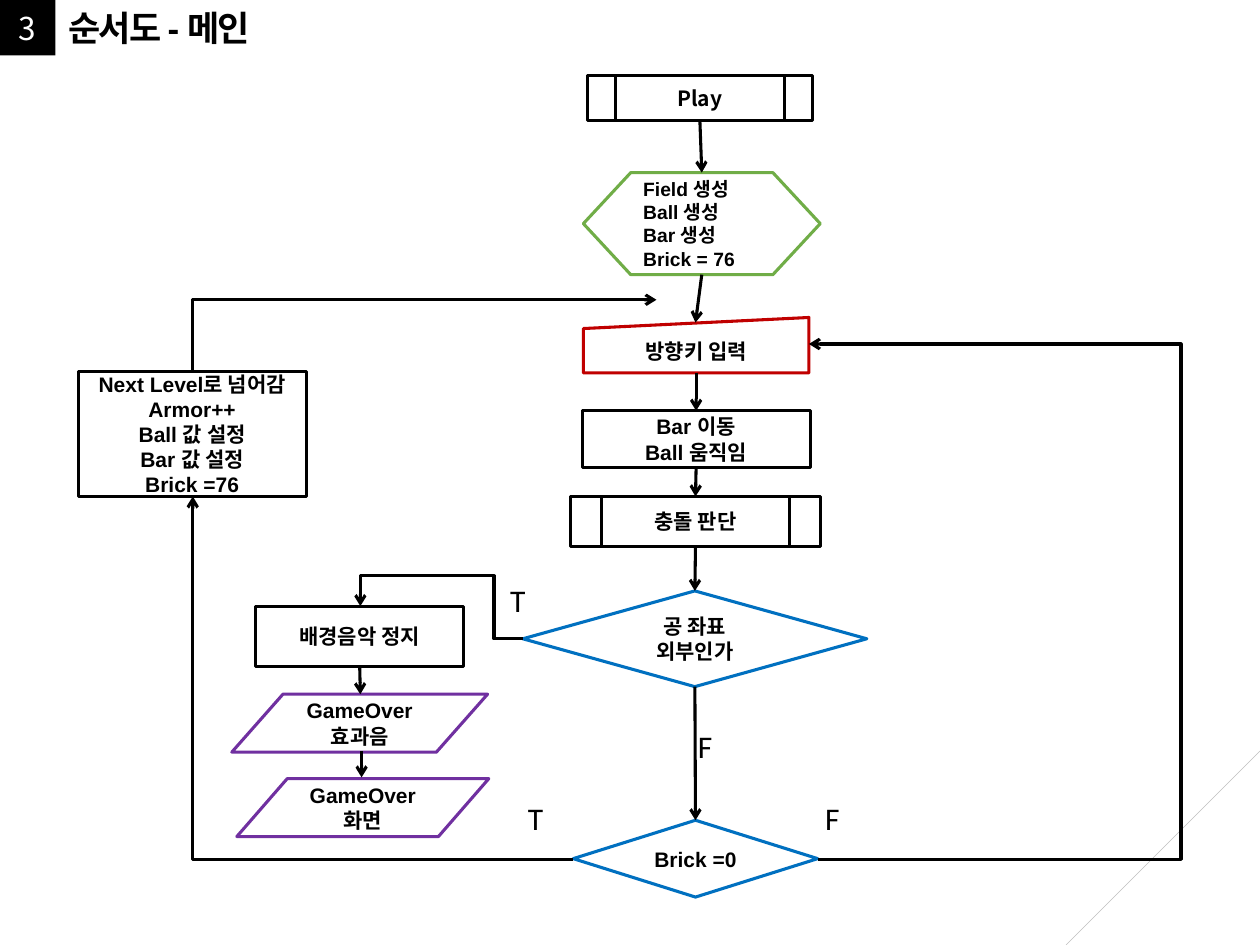
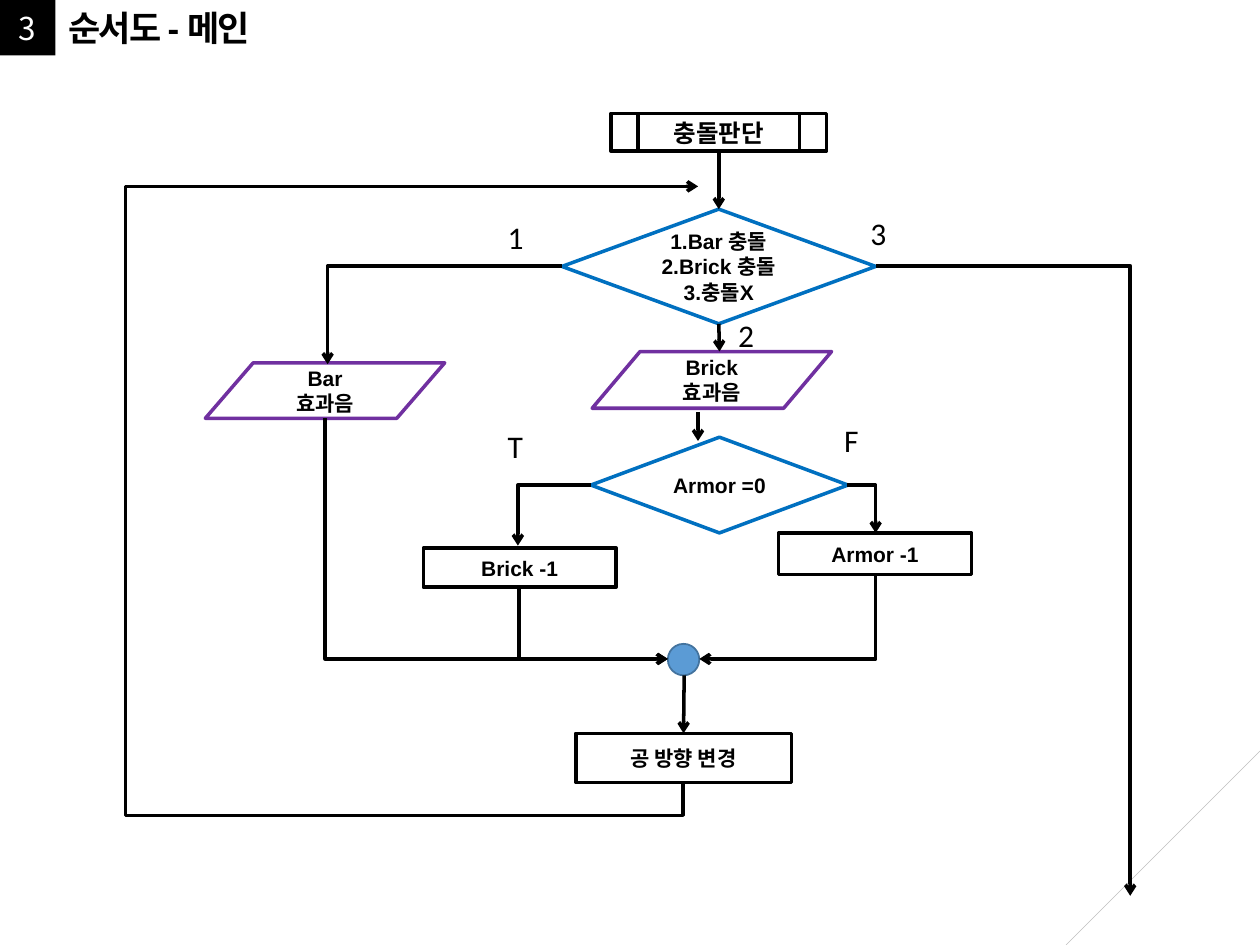
from lxml import etree
from pptx import Presentation
from pptx import util as u
from pptx.dml.color import RGBColor
from pptx.enum import shapes, text
from pptx.oxml.ns import qn

BLACK, WHITE, BLUE = "000000", "FFFFFF", "0070C0"
GREEN, RED, PURPLE, GREY = "70AD47", "C00000", "7030A0", "BFBFBF"
KOREAN = "Noto Sans CJK KR"
WIDTH, HEIGHT, BAND = 10, 7.5, 0.44
SECTION, TITLE = "3", "순서도 - 메인"

M = shapes.MSO_SHAPE
KINDS = {
    "call": (M.FLOWCHART_PREDEFINED_PROCESS, BLACK),
    "step": (M.FLOWCHART_PROCESS, BLACK),
    "test": (M.FLOWCHART_DECISION, BLUE),
    "setup": (M.FLOWCHART_PREPARATION, GREEN),
    "input": (M.FLOWCHART_MANUAL_INPUT, RED),
    "output": (M.FLOWCHART_DATA, PURPLE),
    "join": (M.FLOWCHART_CONNECTOR, "43739E"),
}

MAIN = {
    "weight": 1.75,
    "nodes": [
        ("play", "call", (4.66, 0.6, 1.79, 0.36), ["Play"], {"font": KOREAN}),
        ("init", "setup", (4.63, 1.37, 1.88, 0.81),
         ["Field 생성", "Ball 생성", "Bar 생성", "Brick = 76"], {"size": 11, "align": "LEFT"}),
        ("keys", "input", (4.63, 2.52, 1.79, 0.44), ["방향키 입력"], {}),
        ("move", "step", (4.62, 3.26, 1.81, 0.45), ["Bar 이동", "Ball 움직임"], {}),
        ("collide", "call", (4.53, 3.94, 1.98, 0.4), ["충돌 판단"], {}),
        ("outside", "test", (4.15, 4.69, 2.73, 0.76), ["공 좌표", "외부인가"], {}),
        ("cleared", "test", (4.55, 6.51, 1.94, 0.61), ["Brick =0"], {}),
        ("level", "step", (0.62, 2.95, 1.81, 0.99),
         ["Next Level로 넘어감", "Armor++", "Ball 값 설정", "Bar 값 설정", "Brick =76"], {}),
        ("mute", "step", (2.03, 4.81, 1.65, 0.48), ["배경음악 정지"], {}),
        ("over_sound", "output", (1.84, 5.51, 2.03, 0.46), ["GameOver", "효과음"], {}),
        ("over_screen", "output", (1.88, 6.18, 2, 0.46), ["GameOver", "화면"], {}),
    ],
    "arrows": [
        ("play", "init"), ("init", (5.52, 2.56)), ("keys", "move"),
        ("move", "collide"), ("collide", "outside"), ("outside", "cleared"),
        ("mute", (2.86, 5.51)), ((2.87, 5.96), (2.87, 6.17)),
    ],
    "bends": [
        [(1.53, 2.95), (1.53, 2.38), (5.21, 2.38)],
        [(4.55, 6.82), (1.53, 6.82), (1.53, 3.94)],
        [(6.49, 6.82), (9.37, 6.82), (9.37, 2.73), (6.42, 2.73)],
        [(4.15, 5.07), (3.92, 5.07), (3.92, 4.57), (2.86, 4.57), (2.86, 4.81)],
    ],
    "labels": [("T", 3.95, 4.56), ("T", 4.09, 6.29), ("F", 5.44, 5.72), ("F", 6.45, 6.29)],
}

COLLISION = {
    "weight": 2,
    "nodes": [
        ("collide", "call", (4.85, 0.9, 1.71, 0.3), ["충돌판단"], {"size": 14}),
        ("which", "test", (4.46, 1.66, 2.49, 0.91),
         ["1.Bar 충돌", "2.Brick 충돌", "3.충돌X"], {}),
        ("bar_sound", "output", (1.63, 2.88, 1.9, 0.44), ["Bar", "효과음"], {}),
        ("brick_sound", "output", (4.7, 2.79, 1.9, 0.45), ["Brick", "효과음"], {}),
        ("armor", "test", (4.69, 3.47, 2.04, 0.76), ["Armor =0"], {}),
        ("brick_less", "step", (3.36, 4.35, 1.53, 0.31), ["Brick -1"], {}),
        ("armor_less", "step", (6.18, 4.23, 1.53, 0.33), ["Armor -1"], {}),
        ("join", "join", (5.3, 5.11, 0.25, 0.25), [], {"fill": "5B9BD5", "weight": 1}),
        ("turn", "step", (4.57, 5.82, 1.71, 0.39), ["공 방향 변경"], {}),
    ],
    "arrows": [
        ("collide", "which"), ("which", (5.71, 2.79)),
        ((5.54, 3.27), (5.54, 3.5)), ((5.43, 5.36), "turn"),
    ],
    "bends": [
        [(4.46, 2.11), (2.6, 2.11), (2.6, 2.89)],
        [(2.58, 3.32), (2.58, 5.23), (5.3, 5.23)],
        [(4.69, 3.85), (4.11, 3.85), (4.11, 4.33)],
        [(6.72, 3.85), (6.95, 3.85), (6.95, 4.23)],
        [(4.12, 4.66), (4.12, 5.23), (5.3, 5.23)],
        [(6.95, 4.56), (6.95, 5.23), (5.55, 5.23)],
        [(6.95, 2.11), (8.97, 2.11), (8.97, 7.11)],
        [(5.42, 6.22), (5.42, 6.47), (1, 6.47), (1, 1.48), (5.54, 1.48)],
    ],
    "labels": [("1", 3.93, 1.68), ("F", 6.6, 3.29), ("T", 3.93, 3.34),
               ("2", 5.76, 2.46), ("3", 6.81, 1.65)],
}


def rgb(value):
    return RGBColor.from_string(value)


def inches(*values):
    return [u.Inches(v) for v in values]


def place(sp, *box):
    for name, value in zip(("left", "top", "width", "height"), inches(*box)):
        setattr(sp, name, value)


def write(sp, lines, size=12, font="Arial", color=BLACK, bold=True, align="CENTER"):
    tf = sp.text_frame
    for i, line in enumerate(lines):
        p = tf.add_paragraph() if i else tf.paragraphs[0]
        p.alignment = getattr(text.PP_ALIGN, align)
        r = p.add_run()
        r.text = line
        for name, value in {"size": u.Pt(size), "name": font, "bold": bold}.items():
            setattr(r.font, name, value)
        r.font.color.rgb = rgb(color)
        etree.SubElement(r.font._element, qn("a:ea"), typeface=KOREAN)
    return tf


def add_box(s, shape, box, fill=WHITE, line=None, weight=1):
    sp = s.shapes.add_shape(shape, *inches(*box))
    sp.shadow.inherit = False
    sp.fill.solid()
    sp.fill.fore_color.rgb = rgb(fill)
    if line:
        sp.line.color.rgb = rgb(line)
        sp.line.width = u.Pt(weight)
    else:
        sp.line.fill.background()
    return sp


def add_line(s, start, end, weight, color=BLACK, arrow=True, kind="STRAIGHT"):
    c = s.shapes.add_connector(getattr(shapes.MSO_CONNECTOR, kind), *inches(*start, *end))
    c.line.color.rgb = rgb(color)
    c.line.width = u.Pt(weight)
    pr = c._element.spPr
    if arrow:
        etree.SubElement(pr.find(qn("a:ln")), qn("a:tailEnd"), type="arrow")
    etree.SubElement(pr, qn("a:effectLst"))
    return c


def add_arrow(s, nodes, start, end, weight):
    begin = (0, 0) if isinstance(start, str) else start
    finish = (0, 0) if isinstance(end, str) else end
    c = add_line(s, begin, finish, weight)
    if isinstance(start, str):
        c.begin_connect(nodes[start], 2)
    if isinstance(end, str):
        c.end_connect(nodes[end], 0)


def add_bend(s, points, weight):
    (x0, y0), (x1, y1) = first, last = points[0], points[-1]
    dx, dy = x1 - x0, y1 - y0
    w, h = abs(dx), abs(dy)
    upright = points[1][0] == x0
    if upright:
        w, h = h, w
        turn, flip_h, flip_v = (270, 1, 0) if dx > 0 and dy > 0 else (90, dy < 0, dx > 0)
    else:
        turn, flip_h, flip_v = (180, 0, dy > 0) if dx < 0 else (0, 0, dy < 0)

    c = add_line(s, first, last, weight, kind="ELBOW")
    place(c, (x0 + x1 - w) / 2, (y0 + y1 - h) / 2, w, h)
    c.rotation = turn
    xfrm = c._element.spPr.find(qn("a:xfrm"))
    for name, on in {"flipH": flip_h, "flipV": flip_v}.items():
        xfrm.set(name, str(int(on)))

    geom = c._element.spPr.find(qn("a:prstGeom"))
    geom.set("prst", f"bentConnector{len(points) - 1}")
    for child in list(geom):
        geom.remove(child)
    guides = etree.SubElement(geom, qn("a:avLst"))
    for i, point in enumerate(points[1:-2], 1):
        axis = (i + 1 + upright) % 2
        share = (point[axis] - first[axis]) / (last[axis] - first[axis])
        name = "adj" if len(points) == 3 else f"adj{i}"
        etree.SubElement(guides, qn("a:gd"), name=name, fmla=f"val {round(share * 100000)}")


def add_header(s):
    add_line(s, (WIDTH, 5.96), (8.46, HEIGHT), 0.25, GREY, arrow=False)
    badge = add_box(s, M.RECTANGLE, (0, 0, BAND, BAND), BLACK)
    write(badge, [SECTION], 18, KOREAN, WHITE, False)
    title = s.shapes.title
    place(title, BAND, 0, 2.91, BAND)
    title.fill.solid()
    title.fill.fore_color.rgb = rgb(WHITE)
    tf = write(title, [TITLE], 20, align="LEFT")
    tf.vertical_anchor = text.MSO_ANCHOR.TOP
    tf.auto_size = text.MSO_AUTO_SIZE.NONE
    tf.paragraphs[0].runs[0].font._element.set("spc", "-100")


def add_chart_slide(prs, flow):
    s = prs.slides.add_slide(prs.slide_layouts[5])
    add_header(s)
    weight, nodes = flow["weight"], {}
    for name, kind, box, lines, extra in flow["nodes"]:
        look = dict(extra)
        shape, color = KINDS[kind]
        fill = look.pop("fill", WHITE)
        sp = add_box(s, shape, box, fill, color, look.pop("weight", weight))
        write(sp, lines, **look)
        nodes[name] = sp
    for start, end in flow["arrows"]:
        add_arrow(s, nodes, start, end, weight)
    for points in flow["bends"]:
        add_bend(s, points, weight)
    for label, x, y in flow["labels"]:
        sp = s.shapes.add_textbox(*inches(x, y, 0.32, 0.4))
        tf = write(sp, [label], 18, "Calibri", bold=False, align="LEFT")
        tf.word_wrap = False


def main():
    prs = Presentation()
    prs.slide_width, prs.slide_height = inches(WIDTH, HEIGHT)
    for flow in (MAIN, COLLISION):
        add_chart_slide(prs, flow)
    prs.save("out.pptx")


if __name__ == "__main__":
    main()
